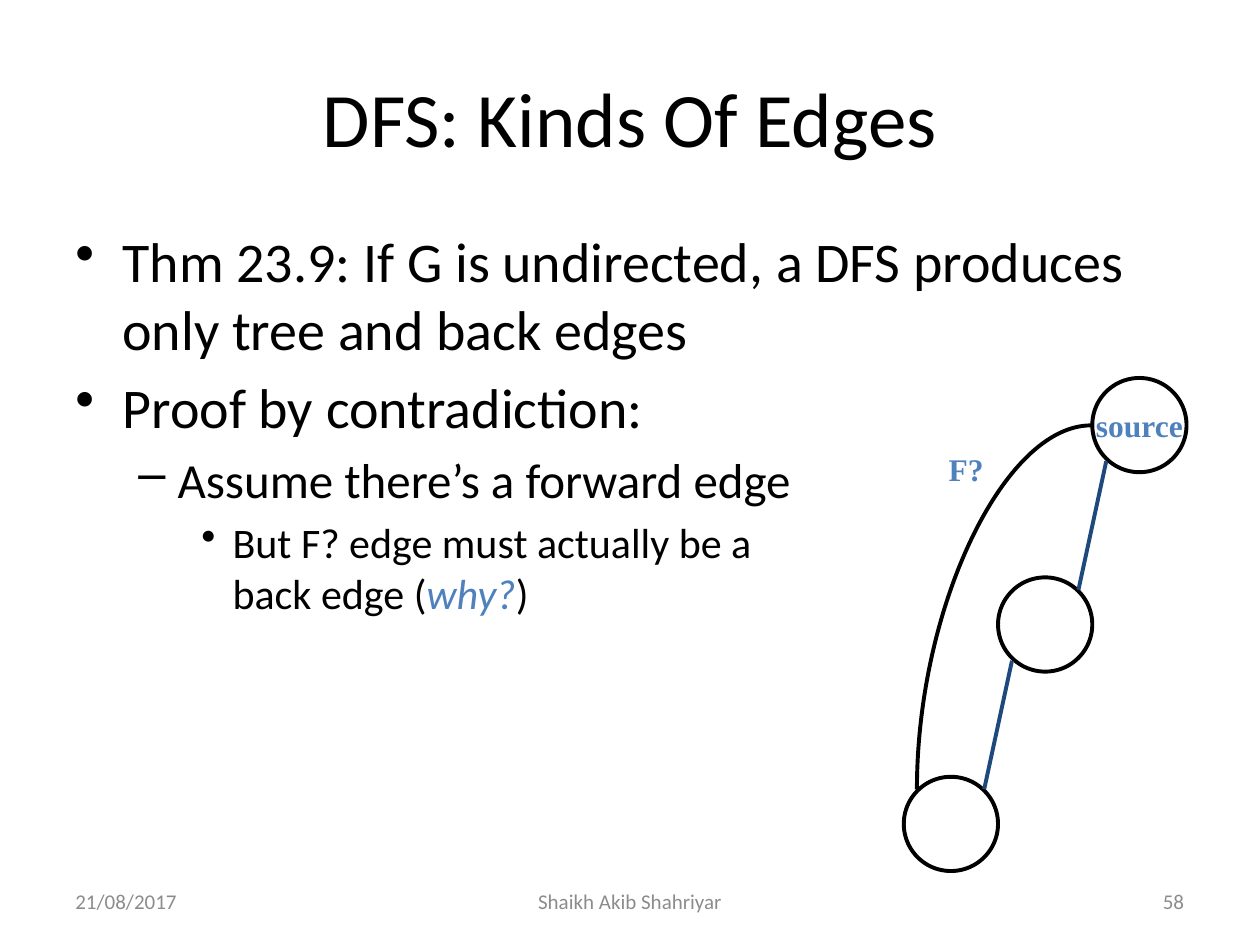
"""Builds a slide on the kinds of edges in a depth-first search."""
import pptx
import pptx.dml.color
import pptx.enum.shapes
import pptx.enum.text
import pptx.oxml
import pptx.oxml.ns
import pptx.util

Cm = pptx.util.Cm
Pt = pptx.util.Pt
RGBColor = pptx.dml.color.RGBColor
Align = pptx.enum.text.PP_ALIGN
Anchor = pptx.enum.text.MSO_ANCHOR
Link = pptx.enum.shapes.MSO_CONNECTOR
qn = pptx.oxml.ns.qn

BLACK = RGBColor(0, 0, 0)
BLUE = RGBColor(0x4F, 0x81, 0xBD)
NAVY = RGBColor(0x1F, 0x49, 0x7D)
GRAY = RGBColor(0x8C, 0x8C, 0x8C)
SANS = "Calibri"
SERIF = "Times New Roman"
NODE = 1.9
STEP_X, STEP_Y = -1.9, 4.02
LEVELS = [("•", 0.95, 0.95, 32), ("–", 2.06, 0.79, 28), ("•", 3.17, 0.63, 24)]
POINTS = [
    (0, ["Thm 23.9: If G is undirected, a DFS produces only tree and back edges"]),
    (0, ["Proof by contradiction:"]),
    (1, ["Assume there’s a forward edge"]),
    (2, ["But F? edge must actually be a", "\n", "back edge (", "why?", ")"]),
]


def set_font(font, name, size, color, bold=False):
    font.name = name
    font.size = Pt(size)
    font.bold = bold
    font.color.rgb = color


def add_box(slide, left, top, width, height, anchor=Anchor.MIDDLE, wrap=True):
    box = slide.shapes.add_textbox(Cm(left), Cm(top), Cm(width), Cm(height))
    frame = box.text_frame
    frame.word_wrap = wrap
    frame.vertical_anchor = anchor
    return frame


def put_text(frame, text, name, size, color, align=Align.CENTER, bold=False):
    para = frame.paragraphs[0]
    para.alignment = align
    set_font(para.font, name, size, color, bold)
    para.add_run().text = text


def add_list(slide):
    frame = add_box(slide, 1.27, 4.45, 22.86, 12.57, Anchor.TOP)
    for num, (level, parts) in enumerate(POINTS):
        mark, left, hang, size = LEVELS[level]
        para = frame.add_paragraph() if num else frame.paragraphs[0]
        para.level = level
        props = para._p.get_or_add_pPr()
        props.set("marL", str(Cm(left)))
        props.set("indent", str(-Cm(hang)))
        space = pptx.oxml.parse_xml(
            f'<a:buChar {pptx.oxml.ns.nsdecls("a")} char="{mark}"/>')
        props.append(space)
        if num:
            para.space_before = Pt(size * 0.2)
        set_font(para.font, SANS, size, BLACK)
        for part in parts:
            if part == "\n":
                para.add_line_break()
                continue
            run = para.add_run()
            run.text = part
            if part == "why?":
                run.font.italic = True
                run.font.color.rgb = BLUE


def add_node(slide, num, text=""):
    node = slide.shapes.add_shape(
        pptx.enum.shapes.MSO_SHAPE.OVAL, Cm(22.02 + num * STEP_X),
        Cm(7.62 + num * STEP_Y), Cm(NODE), Cm(NODE))
    node.shadow.inherit = False
    node.fill.background()
    node.line.color.rgb = BLACK
    node.line.width = Pt(2.25)
    if text:
        node.text_frame.word_wrap = False
        node.text_frame.vertical_anchor = Anchor.MIDDLE
        put_text(node.text_frame, text, SERIF, 18, BLUE, bold=True)


def add_edge(slide, kind, start, end, color):
    edge = slide.shapes.add_connector(kind, *map(Cm, start + end))
    edge.line.color.rgb = color
    edge.line.width = Pt(2.25)
    props = edge._element.spPr
    props.append(props.makeelement(qn("a:effectLst"), {}))
    return props


def add_arc(slide):
    props = add_edge(slide, Link.CURVE, (16.57, 10.49), (23.91, 14.0), BLACK)
    props.find(qn("a:xfrm")).set("rot", str(270 * 60000))
    props.find(qn("a:prstGeom")).set("prst", "curvedConnector2")


def add_graph(slide):
    for num, text in enumerate(["source", "", ""]):
        add_node(slide, num, text)
    for num in range(2):
        left, top = 22.3 + num * STEP_X, 9.3 + num * STEP_Y
        add_edge(slide, Link.STRAIGHT, (left, top), (left - 0.56, top + 2.59), NAVY)
    add_arc(slide)
    frame = add_box(slide, 18.8, 8.94, 1.35, 1.09, Anchor.TOP, wrap=False)
    put_text(frame, "F?", SERIF, 18, BLUE, bold=True)


def add_foot(slide):
    for text, left, width, align in [
            ("21/08/2017", 1.27, 5.92, Align.LEFT),
            ("Shaikh Akib Shahriyar", 8.68, 8.04, Align.CENTER),
            ("58", 18.2, 5.92, Align.RIGHT)]:
        frame = add_box(slide, left, 17.65, width, 1.02)
        put_text(frame, text, SANS, 12, GRAY, align)


def main():
    deck = pptx.Presentation()
    deck.slide_width, deck.slide_height = Cm(25.4), Cm(19.05)
    slide = deck.slides.add_slide(deck.slide_layouts[6])
    title = add_box(slide, 1.27, 0.76, 22.86, 3.18)
    put_text(title, "DFS: Kinds Of Edges", SANS, 44, BLACK)
    add_list(slide)
    add_graph(slide)
    add_foot(slide)
    deck.save("out.pptx")


if __name__ == "__main__":
    main()
